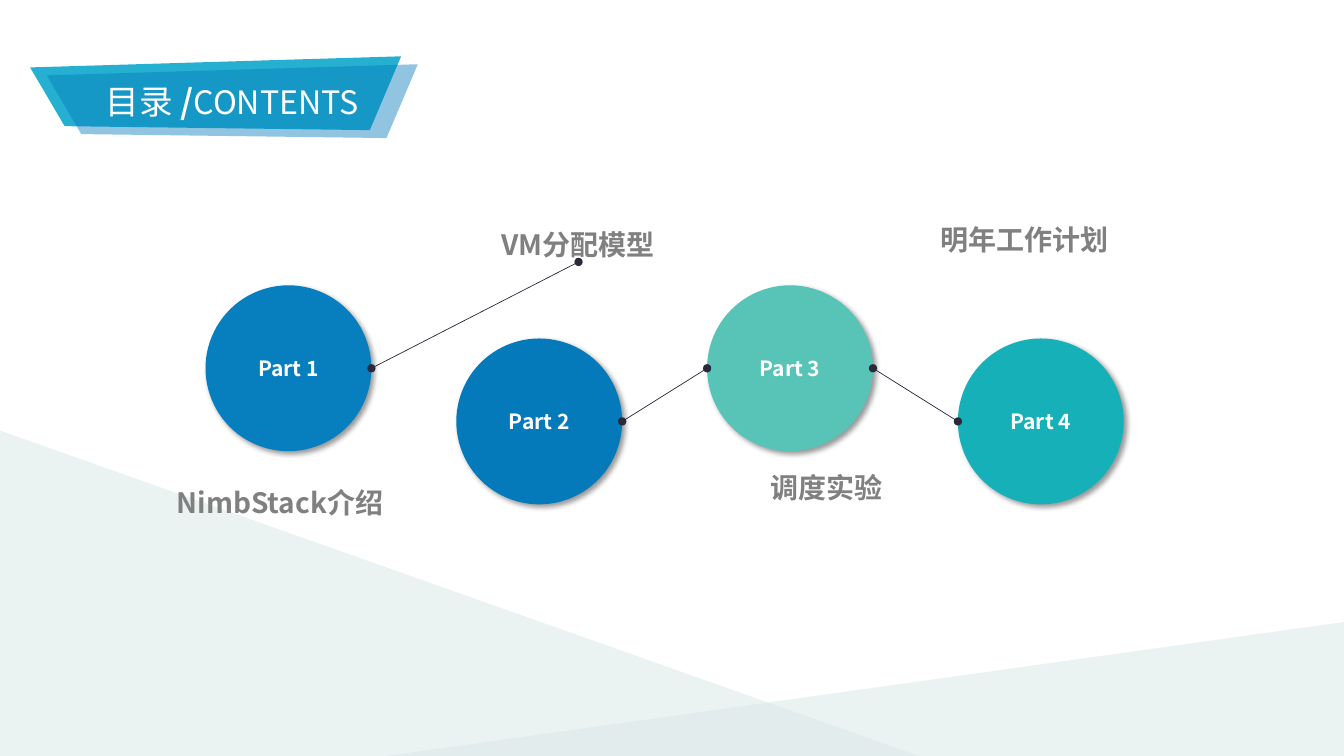
from dataclasses import dataclass
from lxml.etree import SubElement
from pptx import Presentation
from pptx.dml.color import RGBColor
from pptx.enum.shapes import MSO_CONNECTOR, MSO_SHAPE
from pptx.enum.text import MSO_ANCHOR, MSO_AUTO_SIZE, PP_ALIGN
from pptx.oxml.ns import qn
from pptx.util import Cm, Pt


@dataclass(frozen=True)
class Theme:
    font: str = "Noto Sans CJK SC"
    white: str = "FFFFFF"
    grey: str = "808080"
    ink: str = "2B2939"
    mist: str = "DDE9E8"
    sky: str = "25B0D2"
    blue: str = "047ABA"
    discs: tuple = ("077FBF", "047ABA", "58C4B8", "15B0B8")
    head: int = 24
    latin: int = 23
    label: int = 20
    disc: int = 15


THEME = Theme()
SIZE = 4.18                 # circle diameter
LEFT, PITCH = 5.18, 6.32    # first circle, step between circles
TOPS = (7.19, 8.53)         # circles alternate between two heights


def style(item, **values):
    for name, value in values.items():
        setattr(item, name, value)


def paint(shape, color, alpha=None):
    shape.shadow.inherit = False
    shape.fill.solid()
    shape.fill.fore_color.rgb = RGBColor.from_string(color)
    shape.line.fill.background()
    if alpha:
        tone = shape._element.spPr.find(qn("a:solidFill")).find(qn("a:srgbClr"))
        SubElement(tone, qn("a:alpha"), val=str(alpha * 1000))


def write(frame, runs, color, align, inset=(0, 0), **values):
    wide, high = map(Cm, inset)
    style(frame, word_wrap=True, margin_left=wide, margin_right=wide,
          margin_top=high, margin_bottom=high, **values)
    para = frame.paragraphs[0]
    para.alignment = align
    for text, size, bold in runs:
        run = para.add_run()
        run.text = text
        style(run.font, size=Pt(size), bold=bold, name=THEME.font)
        run.font.color.rgb = RGBColor.from_string(color)
        SubElement(run.font._element, qn("a:ea"), typeface=THEME.font)


def wedge(slide, box, flip=False):
    shape = slide.shapes.add_shape(MSO_SHAPE.RIGHT_TRIANGLE, *map(Cm, box))
    paint(shape, THEME.mist, 56)
    if flip:
        shape._element.spPr.find(qn("a:xfrm")).set("flipH", "1")


def banner(slide, shift, color, alpha=None):
    dx, dy = shift
    edge = [(Cm(x + dx), Cm(y + dy)) for x, y in
            ((0.76, 1.7), (1.63, 3.18), (9.32, 3.28), (10.11, 1.42))]
    form = slide.shapes.build_freeform(*edge[0])
    form.add_line_segments(edge[1:], close=True)
    paint(form.convert_to_shape(), color, alpha)


def heading(slide):
    title = slide.shapes.title
    style(title, left=Cm(1.18), top=Cm(1.62), width=Cm(9.36), height=Cm(1.86))
    runs = (("目录 ", THEME.head, False), ("/", THEME.head, True),
            ("CONTENTS", THEME.latin, False))
    write(title.text_frame, runs, THEME.white, PP_ALIGN.CENTER, (0.25, 0.13),
          vertical_anchor=MSO_ANCHOR.MIDDLE, auto_size=MSO_AUTO_SIZE.NONE)
    slide.shapes._spTree.append(title._element)  # in front of the banner


def circle(slide, index, color):
    left, top = LEFT + index * PITCH, TOPS[index % 2]
    shape = slide.shapes.add_shape(MSO_SHAPE.OVAL, *map(Cm, (left, top, SIZE, SIZE)))
    paint(shape, color)
    glow = SubElement(shape._element.spPr.find(qn("a:effectLst")),
                      qn("a:outerShdw"), blurRad=str(Pt(4)), dist=str(Pt(3)),
                      dir=str(45 * 60000), algn="tl", rotWithShape="0")
    tone = SubElement(glow, qn("a:srgbClr"), val="000000")
    SubElement(tone, qn("a:alpha"), val="40000")
    write(shape.text_frame, ((f"Part {index + 1}", THEME.disc, True),),
          THEME.white, PP_ALIGN.CENTER, (0.18, 0.1),
          vertical_anchor=MSO_ANCHOR.MIDDLE)


def side(index, right):
    """Middle of a circle's left or right side."""
    return LEFT + index * PITCH + SIZE * right, TOPS[index % 2] + SIZE / 2


def link(slide, start, end):
    line = slide.shapes.add_connector(MSO_CONNECTOR.STRAIGHT, *map(Cm, start + end))
    line.line.width = Pt(0.5)
    line.line.color.rgb = RGBColor.from_string(THEME.ink)
    stroke = line._element.spPr.find(qn("a:ln"))
    for tag in ("a:headEnd", "a:tailEnd"):
        SubElement(stroke, qn(tag), type="oval")
    SubElement(line._element.spPr, qn("a:effectLst"))


def label(slide, text, left, top, align):
    box = slide.shapes.add_textbox(*map(Cm, (left, top, 6.78, 0.86)))
    write(box.text_frame, ((text, THEME.label, True),), THEME.grey, align,
          auto_size=MSO_AUTO_SIZE.SHAPE_TO_FIT_TEXT)


def main():
    deck = Presentation()
    style(deck, slide_width=Cm(33.87), slide_height=Cm(19.05))
    slide = deck.slides.add_slide(deck.slide_layouts[5])

    # Background
    wedge(slide, (9.73, 15.65, 24.31, 3.4), flip=True)
    wedge(slide, (0, 10.85, 23.16, 8.2))

    # Title on its banner
    banner(slide, (0, 0), THEME.sky)
    banner(slide, (0.42, 0.2), THEME.blue, 44)
    heading(slide)

    # Circles and the lines between them
    for index, color in enumerate(THEME.discs):
        circle(slide, index, color)
    link(slide, side(0, True), (14.58, 6.6))
    for index in (1, 2):
        link(slide, side(index, True), side(index + 1, False))

    # Names of the four parts
    for text, left, top, align in (
            ("NimbStack介绍", 4.45, 12.24, PP_ALIGN.LEFT),
            ("VM分配模型", 11.18, 5.74, PP_ALIGN.CENTER),
            ("调度实验", 17.45, 11.86, PP_ALIGN.CENTER),
            ("明年工作计划", 23.7, 5.61, PP_ALIGN.LEFT)):
        label(slide, text, left, top, align)

    deck.save("out.pptx")


if __name__ == "__main__":
    main()
